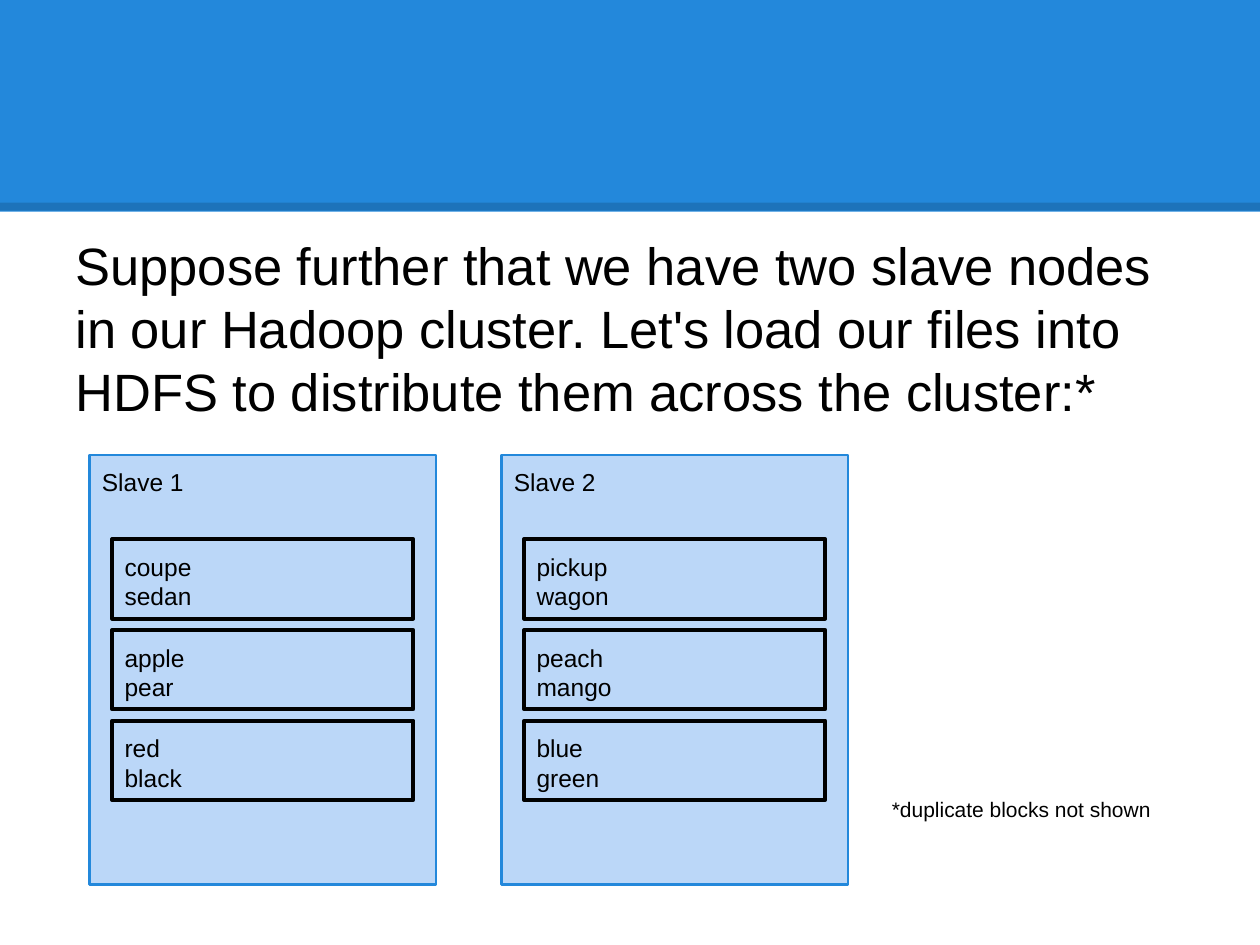
from lxml import etree
from pptx import Presentation
from pptx import util as u
from pptx.dml.color import RGBColor
from pptx.enum import shapes, text
from pptx.oxml.ns import qn

BLUE, PALE, BLACK = "2388DB", "BBD7F8", "000000"


def color(code):
    """Turn a hex string into a colour."""
    return RGBColor.from_string(code)


class Deck:
    """Holds the style and the current slide."""

    font = "Arial"
    inset = u.Inches(0.1)

    def __init__(self, wide, high):
        """Start a deck with one blank slide."""
        self.prs = Presentation()
        self.prs.slide_width = u.Inches(wide)
        self.prs.slide_height = u.Inches(high)
        self.slide = self.prs.slides.add_slide(self.prs.slide_layouts[6])

    def fill_text(self, shape, lines, size, before=0):
        """Put left-aligned lines of text in a shape."""
        frame = shape.text_frame
        frame.word_wrap = True
        frame.vertical_anchor = text.MSO_ANCHOR.TOP
        frame.margin_left = frame.margin_right = self.inset
        frame.margin_top = frame.margin_bottom = self.inset
        for i, line in enumerate(lines):
            para = frame.add_paragraph() if i else frame.paragraphs[0]
            para.alignment = text.PP_ALIGN.LEFT
            para.space_before = u.Pt(before)
            run = para.add_run()
            run.text = line
            run.font.name = self.font
            run.font.size = u.Pt(size)
            run.font.color.rgb = color(BLACK)

    def label(self, box, line, size, before=0):
        """Add a text box."""
        shape = self.slide.shapes.add_textbox(*map(u.Inches, box))
        self.fill_text(shape, [line], size, before)

    def rect(self, box, fill=None, edge=None, width=1, lines=()):
        """Add a rectangle, with text if given."""
        shape = self.slide.shapes.add_shape(
            shapes.MSO_SHAPE.RECTANGLE, *map(u.Inches, box))
        shape.shadow.inherit = False
        if fill:
            shape.fill.solid()
            shape.fill.fore_color.rgb = color(fill)
        else:
            shape.fill.background()
        if edge:
            shape.line.color.rgb = color(edge)
            shape.line.width = u.Pt(width)
        else:
            shape.line.fill.background()
        if lines:
            self.fill_text(shape, lines, 14)

    def rule(self, x1, y1, x2, y2, code, width, alpha):
        """Add a see-through line; alpha is the opacity in percent."""
        line = self.slide.shapes.add_connector(
            shapes.MSO_CONNECTOR.STRAIGHT, *map(u.Inches, (x1, y1, x2, y2)))
        line.line.color.rgb = color(code)
        line.line.width = u.Pt(width)
        props = line._element.spPr
        tone = props.find(".//" + qn("a:srgbClr"))
        etree.SubElement(tone, qn("a:alpha"), val=str(alpha * 1000))
        etree.SubElement(props, qn("a:effectLst"))


NODES = {
    "Slave 1": [("coupe", "sedan"), ("apple", "pear"), ("red", "black")],
    "Slave 2": [("pickup", "wagon"), ("peach", "mango"), ("blue", "green")],
}

deck = Deck(10, 7.5)
deck.rect((0, 0, 10, 1.68), BLUE)
deck.rule(0, 1.64, 10, 1.64, BLACK, 4.5, 15)
deck.label((0.5, 1.75, 9, 5.43),
           "Suppose further that we have two slave nodes in our Hadoop cluster. "
           "Let's load our files into HDFS to distribute them across the "
           "cluster:*", 30, 6)

for col, (node, blocks) in enumerate(NODES.items()):
    left = 0.71 + 3.27 * col
    deck.rect((left, 3.61, 2.75, 3.41), PALE, BLUE, 1.5, [node])
    for row, words in enumerate(blocks):
        top = 4.28 + 0.72 * row
        deck.rect((left + 0.18, top, 2.39, 0.63), None, BLACK, 2.25, words)

deck.label((6.98, 6.22, 2.65, 0.54), "*duplicate blocks not shown", 12)
deck.prs.save("out.pptx")
